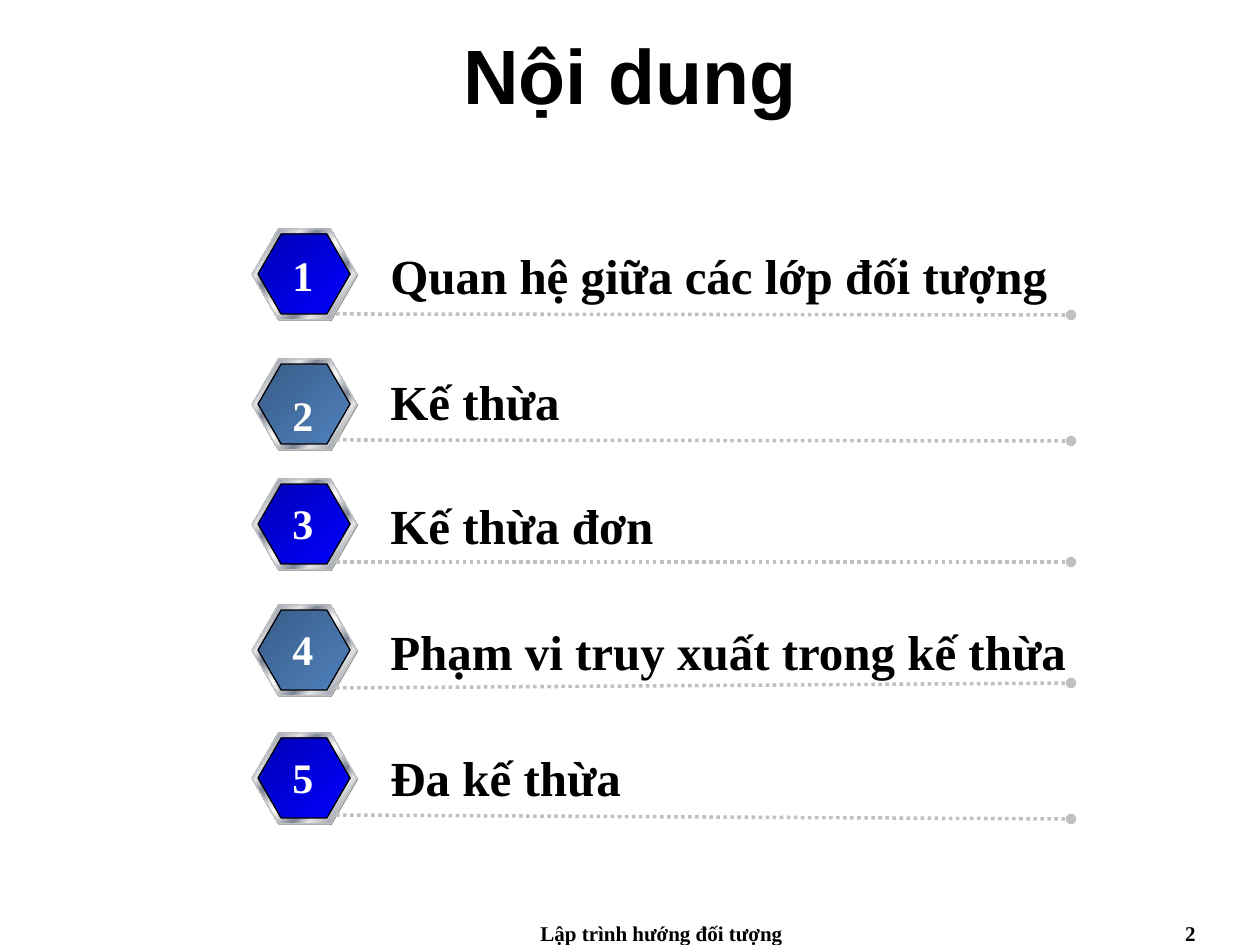
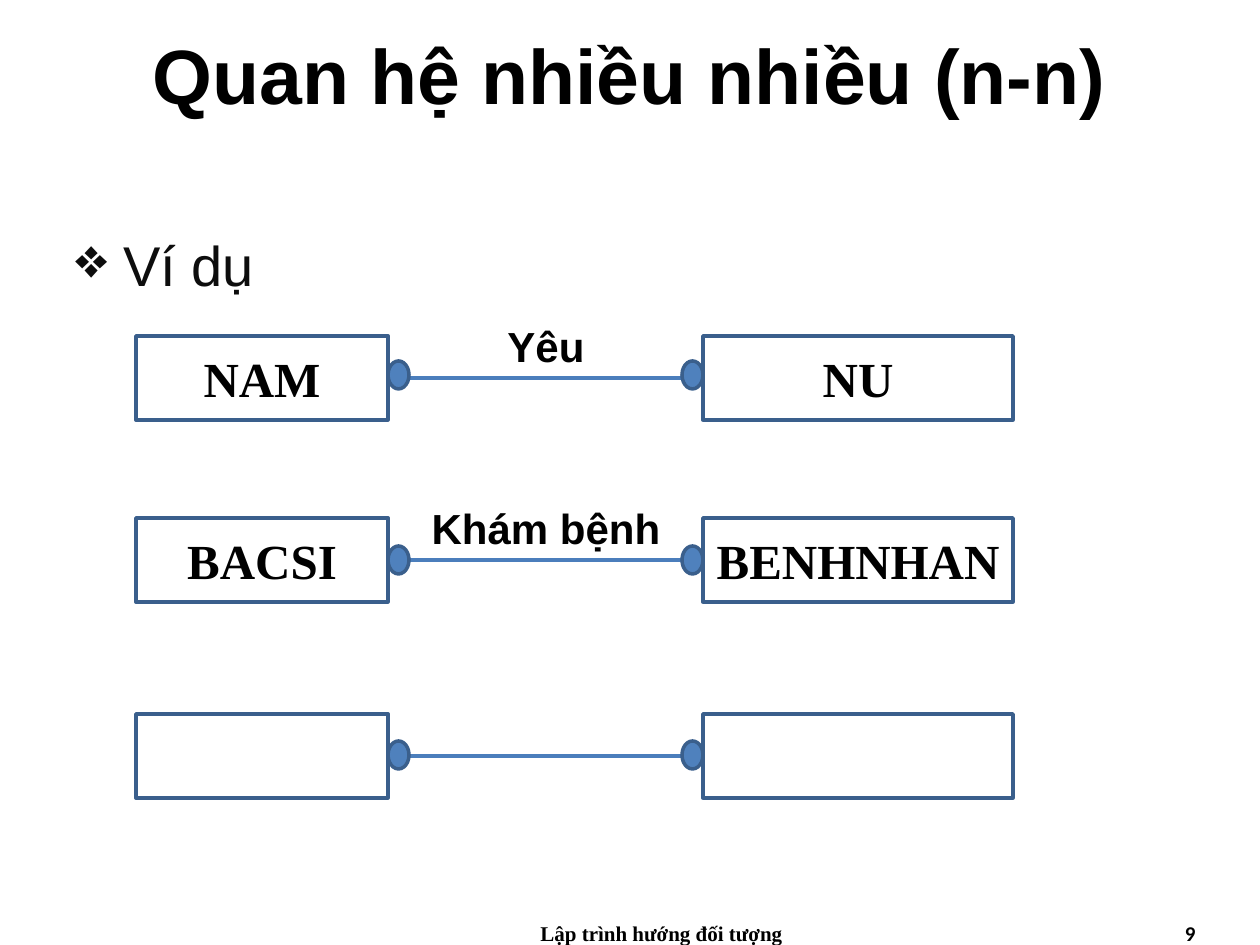
from dataclasses import dataclass

from lxml import etree
from pptx import Presentation
from pptx.dml.color import RGBColor
from pptx.enum.dml import MSO_LINE
from pptx.enum.shapes import MSO_CONNECTOR, MSO_SHAPE
from pptx.enum.text import MSO_ANCHOR, MSO_AUTO_SIZE, PP_ALIGN
from pptx.oxml.ns import qn
from pptx.util import Emu, Pt

HEXAGON, RECTANGLE, OVAL = MSO_SHAPE.HEXAGON, MSO_SHAPE.RECTANGLE, MSO_SHAPE.OVAL
STRAIGHT = MSO_CONNECTOR.STRAIGHT
DOTTED = MSO_LINE.ROUND_DOT
TOP, MIDDLE = MSO_ANCHOR.TOP, MSO_ANCHOR.MIDDLE
GROW = MSO_AUTO_SIZE.SHAPE_TO_FIT_TEXT
LEFT, CENTER, RIGHT, JUSTIFY = (
    PP_ALIGN.LEFT, PP_ALIGN.CENTER, PP_ALIGN.RIGHT, PP_ALIGN.JUSTIFY)

SLIDE_WIDTH, SLIDE_HEIGHT = 1260, 945
FOOTER = "Lập trình hướng đối tượng"


@dataclass(frozen=True)
class Style:
    font: str
    size: int
    color: str = "000000"
    bold: bool = True


class Theme:
    TITLE = Style("Arial", 44)
    BODY = Style("Arial", 32, "0D0D0D", False)
    ENTRY = Style("Times New Roman", 28)
    NUMBER = Style("Times New Roman", 24, "FFFFFF")
    LABEL = Style("Arial", 24)
    FOOTER = Style("Times New Roman", 12)
    PAGE_CALIBRI = Style("Calibri", 12)
    BLACK, SHADE, SILVER = "000000", "808080", "C0C0C0"
    ACCENT, OUTLINE, LINK = "4F81BD", "3A5F8C", "4B7EBC"
    BLUE = ((0, "0000B6"), (100, "0000FF"))
    STEEL = ((0, "395C87"), (100, "4F81BD"))
    METAL = ((0, "E6E6E6"), (7, "7D8496"), (26, "E6E6E6"), (34, "7D8496"),
             (46, "E6E6E6"), (50, "FFFFFF"), (54, "E6E6E6"), (66, "7D8496"),
             (74, "E6E6E6"), (93, "7D8496"), (100, "E6E6E6"))


@dataclass(frozen=True)
class AgendaRow:
    """Vertical places other than top are measured down from top."""
    text: str
    top: int
    text_drop: int
    number_drop: int
    rule_start: int
    rule_end: int
    width: int = 620


AGENDA = (
    AgendaRow("Quan hệ giữa các lớp đối tượng", 229, 10, 14, 85, 86, 693),
    AgendaRow("Kế thừa", 359, 6, 24, 81, 82),
    AgendaRow("Kế thừa đơn", 479, 10, 12, 83, 83),
    AgendaRow("Phạm vi truy xuất trong kế thừa", 605, 10, 12, 83, 78, 735),
    AgendaRow("Đa kế thừa", 733, 8, 12, 82, 86),
)

# top, knob drop, left entity, relation, right entity
RELATIONS = (
    (336, 25, "NAM", "Yêu", "NU"),
    (518, 28, "BACSI", "Khám bệnh", "BENHNHAN"),
    (714, 27, "", "", ""),
)


def px(*lengths):
    return [Emu(round(length * 914400 / 126)) for length in lengths]


def write(shape, text, style, align, anchor=TOP):
    frame = shape.text_frame
    frame.text = text
    frame.vertical_anchor = anchor
    paragraph = frame.paragraphs[0]
    paragraph.alignment = align
    for run in paragraph.runs:
        run.font.name = style.font
        run.font.size = Pt(style.size)
        run.font.bold = style.bold
        run.font.color.rgb = RGBColor.from_string(style.color)
    return paragraph


def add_text(shapes, box, text, style, align=LEFT, anchor=TOP, grow=False, wrap=True):
    shape = shapes.add_textbox(*px(*box))
    paragraph = write(shape, text, style, align, anchor)
    shape.text_frame.word_wrap = wrap
    if grow:
        shape.text_frame.auto_size = GROW
    return paragraph


def fill_gradient(shape, stops):
    """Fill with (percent, colour) stops running to the lower right."""
    gradient = etree.Element(qn("a:gradFill"), rotWithShape="1")
    stop_list = etree.SubElement(gradient, qn("a:gsLst"))
    for percent, color in stops:
        stop = etree.SubElement(stop_list, qn("a:gs"), pos=str(percent * 1000))
        etree.SubElement(stop, qn("a:srgbClr"), val=color)
    etree.SubElement(gradient, qn("a:lin"), ang="2700000", scaled="1")
    shape._element.spPr.find(qn("a:prstGeom")).addnext(gradient)


def add_shape(shapes, kind, box, fill=None, line=None, weight=2):
    """Fill is a colour, a tuple of gradient stops or None."""
    shape = shapes.add_shape(kind, *px(*box))
    shape.shadow.inherit = False
    if fill is None:
        shape.fill.background()
    elif isinstance(fill, str):
        shape.fill.solid()
        shape.fill.fore_color.rgb = RGBColor.from_string(fill)
    else:
        fill_gradient(shape, fill)
    if line is None:
        shape.line.fill.background()
    else:
        shape.line.color.rgb = RGBColor.from_string(line)
        shape.line.width = Pt(weight)
    return shape


def add_line(shapes, ends, color, dotted_to_dot=False):
    connector = shapes.add_connector(STRAIGHT, *px(*ends))
    connector.line.color.rgb = RGBColor.from_string(color)
    connector.line.width = Pt(2)
    if dotted_to_dot:
        connector.line.dash_style = DOTTED
        etree.SubElement(connector.line._get_or_add_ln(), qn("a:tailEnd"), type="oval")
    etree.SubElement(connector._element.spPr, qn("a:effectLst"))


def add_base_slide(presentation, title, page, page_style=Theme.FOOTER):
    """Add a blank slide with title, footer and page number."""
    shapes = presentation.slides.add_slide(presentation.slide_layouts[6]).shapes
    add_text(shapes, (0, 0, SLIDE_WIDTH, 147), title, Theme.TITLE, CENTER, MIDDLE)
    add_text(shapes, (462, 914, 399, 31), FOOTER, Theme.FOOTER, CENTER)
    add_text(shapes, (914, 914, 294, 31), page, page_style, RIGHT)
    return shapes


def add_badge(shapes, left, top, stops):
    for box, fill, line in (
            ((left + 1, top + 1, 105, 91), Theme.SHADE, None),
            ((left, top, 105, 91), Theme.METAL, Theme.SILVER),
            ((left + 6, top + 5, 92, 80), stops, Theme.BLACK)):
        hexagon = add_shape(shapes, HEXAGON, box, fill, line, 0.75)
        hexagon.adjustments[0] = 0.289


def add_agenda_row(slide_shapes, left, number, row):
    shapes = slide_shapes.add_group_shape().shapes
    add_badge(shapes, left, row.top, Theme.BLUE if number % 2 else Theme.STEEL)
    add_line(shapes, (left + 84, row.top + row.rule_start,
                      left + 819, row.top + row.rule_end), Theme.SILVER, True)
    add_text(shapes, (left + 126, row.top + row.text_drop, row.width, 72),
             row.text, Theme.ENTRY, grow=True)
    add_text(shapes, (left + 28, row.top + row.number_drop, 46, 63),
             str(number), Theme.NUMBER, CENTER, grow=True, wrap=False)


def add_relation(slide_shapes, left, top, knob_drop, first, relation, second):
    shapes = slide_shapes.add_group_shape().shapes
    height, first_width, second_left = 84, 252, 567
    for offset, width, name in ((0, first_width, first), (second_left, 310, second)):
        entity = add_shape(shapes, RECTANGLE, (left + offset, top, width, height),
                           line=Theme.OUTLINE)
        if name:
            write(entity, name, Theme.ENTRY, CENTER, MIDDLE)
    middle = top + height // 2
    add_line(shapes, (left + first_width, middle, left + second_left, middle), Theme.LINK)
    if relation:
        add_text(shapes, (left + 279, top - 22, 262, 63), relation, Theme.LABEL,
                 CENTER, grow=True)
    knob_width = 21
    for offset in (second_left - knob_width, first_width):
        add_shape(shapes, OVAL, (left + offset, top + knob_drop, knob_width, 28),
                  Theme.ACCENT, Theme.OUTLINE)


def add_bullet_text(shapes, box, text):
    paragraph = add_text(shapes, box, text, Theme.BODY, JUSTIFY)
    properties = paragraph._p.get_or_add_pPr()
    indent = px(48)[0]
    properties.set("marL", str(indent))
    properties.set("indent", str(-indent))
    etree.SubElement(properties, qn("a:buChar"), char="❖")
    paragraph.line_spacing = 1.3
    paragraph.space_after = Pt(3)


def build_agenda_slide(presentation):
    shapes = add_base_slide(presentation, "Nội dung", "2")
    for number, row in enumerate(AGENDA, start=1):
        add_agenda_row(shapes, 252, number, row)


def build_relation_slide(presentation):
    shapes = add_base_slide(presentation, "Quan hệ nhiều nhiều (n-n)", "9",
                            Theme.PAGE_CALIBRI)
    add_bullet_text(shapes, (63, 204, 1155, 674), "Ví dụ")
    for relation in RELATIONS:
        add_relation(shapes, 136, *relation)


def main():
    presentation = Presentation()
    presentation.slide_width, presentation.slide_height = px(SLIDE_WIDTH, SLIDE_HEIGHT)
    build_agenda_slide(presentation)
    build_relation_slide(presentation)
    presentation.save("out.pptx")


if __name__ == "__main__":
    main()
